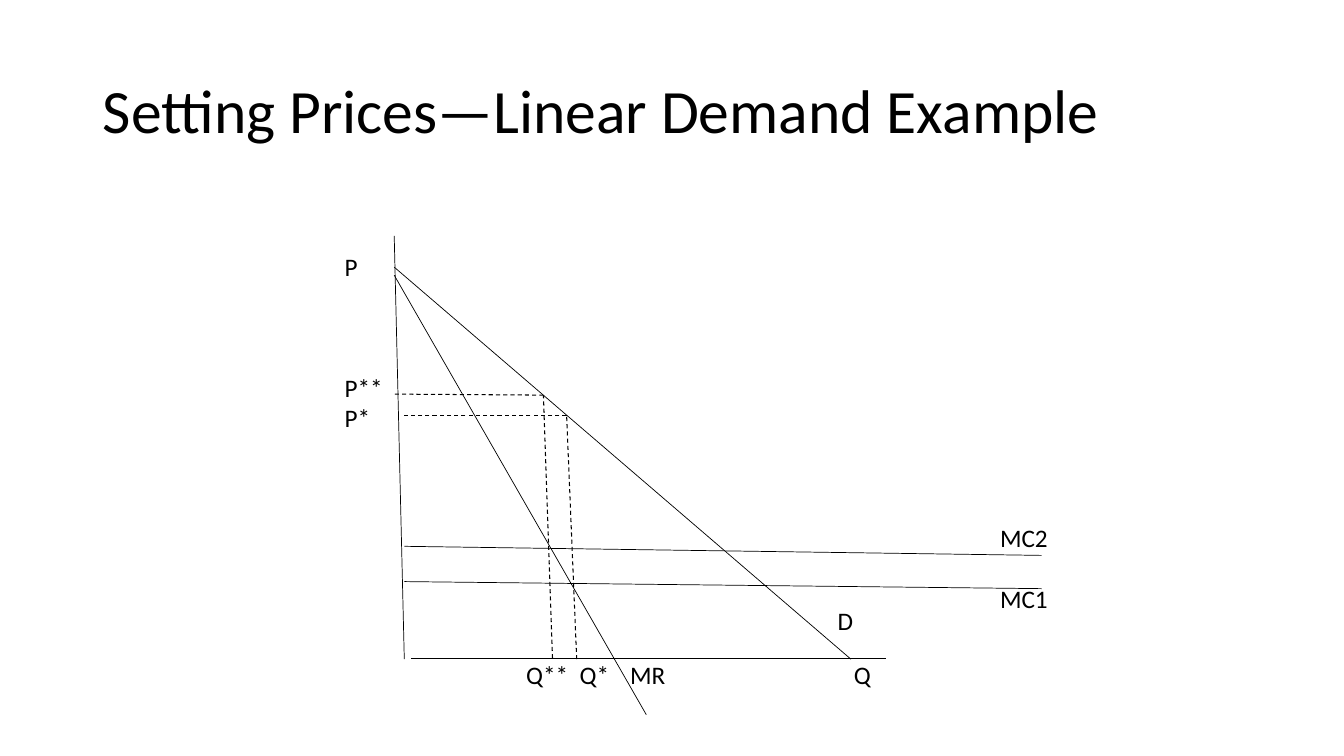
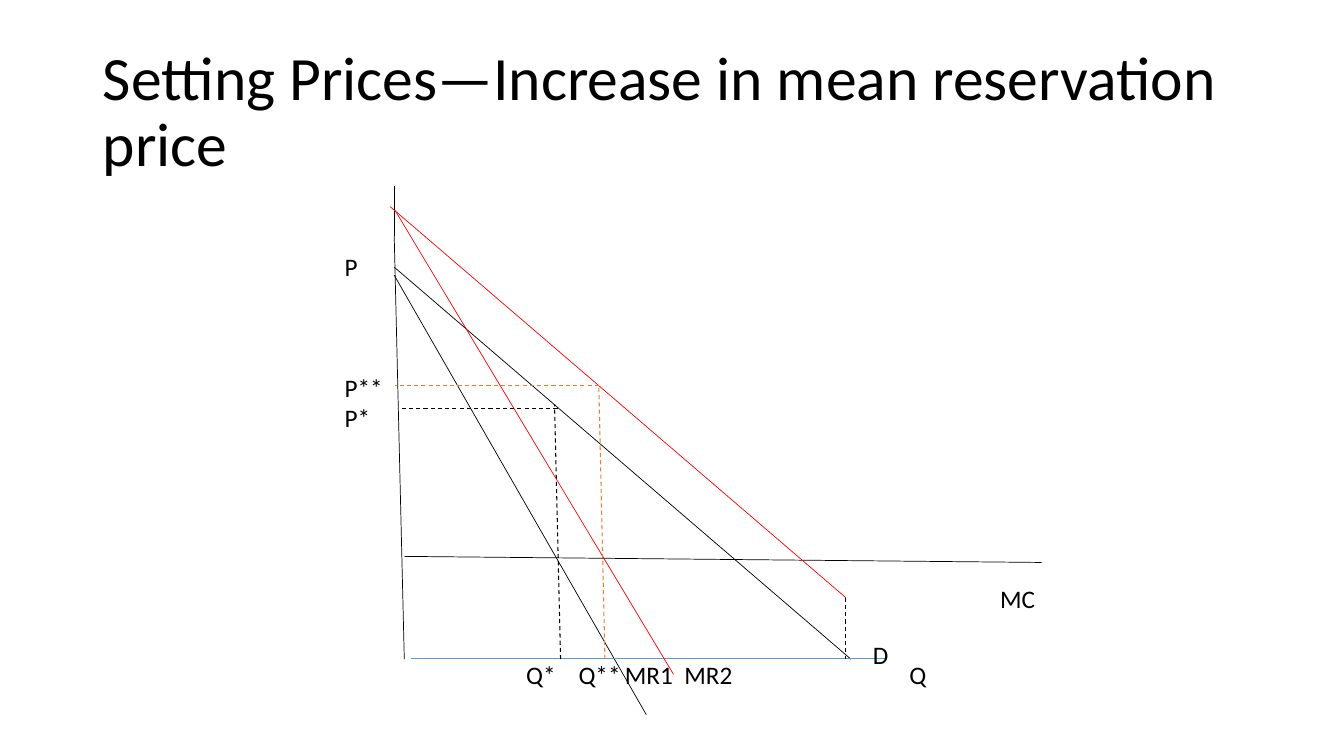
"""Build two slides of demand, marginal revenue and marginal cost diagrams."""
from pptx import Presentation
from pptx.dml.color import RGBColor
from pptx.enum.dml import MSO_LINE
from pptx.enum.shapes import MSO_CONNECTOR
from pptx.enum.text import MSO_ANCHOR, MSO_AUTO_SIZE, PP_ALIGN
from pptx.oxml.ns import qn
from pptx.util import Inches, Pt
from lxml import etree

COLORS = {"black": "000000", "blue": "5B9BD5", "red": "FF0000", "orange": "ED7D31"}
FONT = "Calibri"
LABEL_HEIGHT = 0.4
Q_ROW = 6.49

shared_lines = [
    (3.91, 2.34, 4.01, 6.54, "black"),
    (3.91, 2.65, 8.44, 6.54, "black"),
    (3.91, 2.73, 6.41, 7.09, "black"),
]
shared_labels = [("P", 3.32, 2.44), ("P**", 3.32, 3.64), ("P*", 3.32, 3.94)]

slides = [
    {
        "title": "Setting Prices—Linear Demand Example",
        "solid": [
            (4.08, 6.53, 8.79, 6.53, "black"),
            (4.01, 5.77, 10.33, 5.84, "black"),
            (4.01, 5.42, 10.33, 5.51, "black"),
        ],
        "dashed": [
            (5.72, 6.54, 5.62, 4.12, "black"),
            (5.62, 4.12, 4.01, 4.12, "black"),
            (5.48, 6.53, 5.39, 3.92, "black"),
            (5.39, 3.92, 3.91, 3.91, "black"),
        ],
        "labels": [
            ("Q**", 5.12, Q_ROW), ("Q*", 5.65, Q_ROW), ("MR", 6.15, Q_ROW),
            ("Q", 8.37, Q_ROW), ("MC2", 9.82, 5.13), ("MC1", 9.82, 5.74),
            ("D", 8.21, 5.96),
        ],
    },
    {
        "title": "Setting Prices—Increase in mean reservation price",
        "solid": [
            (4.08, 6.53, 8.79, 6.53, "blue"),
            (4.01, 5.52, 10.33, 5.58, "black"),
            (3.91, 2.34, 3.91, 1.85, "black"),
            (3.87, 2.05, 8.39, 5.93, "red"),
            (3.92, 2.09, 6.68, 6.69, "red"),
        ],
        "dashed": [
            (8.39, 5.93, 8.39, 6.54, "black"),
            (5.56, 6.54, 5.5, 4.01, "black"),
            (6, 6.54, 5.94, 3.85, "orange"),
            (5.53, 4.05, 3.99, 4.05, "black"),
            (5.94, 3.82, 3.92, 3.82, "orange"),
        ],
        "labels": [
            ("Q*", 5.12, Q_ROW), ("Q**", 5.64, Q_ROW), ("MR1", 6.1, Q_ROW),
            ("MR2", 6.69, Q_ROW), ("Q", 8.92, Q_ROW), ("MC", 9.82, 5.74),
            ("D", 8.56, 6.29),
        ],
    },
]


def add_line(s, x1, y1, x2, y2, color, dashed=False):
    """Draw a thin straight line, solid or dashed."""
    line = s.shapes.add_connector(
        MSO_CONNECTOR.STRAIGHT, Inches(x1), Inches(y1), Inches(x2), Inches(y2))
    line.line.color.rgb = RGBColor.from_string(COLORS[color])
    line.line.width = Pt(0.75 if dashed else 0.5)
    if dashed:
        line.line.dash_style = MSO_LINE.DASH
    etree.SubElement(line._element.spPr, qn("a:effectLst"))


def set_text(sp, text, size):
    """Write one left-aligned black paragraph and return it."""
    tf = sp.text_frame
    tf.text = text
    tf.auto_size = MSO_AUTO_SIZE.NONE
    p = tf.paragraphs[0]
    p.alignment = PP_ALIGN.LEFT
    p.font.name = FONT
    p.font.size = Pt(size)
    p.font.color.rgb = RGBColor.from_string(COLORS["black"])
    return p


prs = Presentation()
prs.slide_width = Inches(13.33)
prs.slide_height = Inches(7.5)

for content in slides:
    s = prs.slides.add_slide(prs.slide_layouts[5])
    title = s.shapes.title
    title.left, title.top = Inches(0.92), Inches(0.4)
    title.width, title.height = Inches(11.5), Inches(1.45)
    set_text(title, content["title"], 44).line_spacing = 0.9
    title.text_frame.vertical_anchor = MSO_ANCHOR.MIDDLE

    for line in shared_lines + content["solid"]:
        add_line(s, *line)
    for line in content["dashed"]:
        add_line(s, *line, dashed=True)

    for text, left, top in shared_labels + content["labels"]:
        width = 0.25 + 0.15 * len(text)
        sp = s.shapes.add_textbox(
            Inches(left), Inches(top), Inches(width), Inches(LABEL_HEIGHT))
        set_text(sp, text, 18)
        sp.text_frame.word_wrap = False

prs.save("out.pptx")
